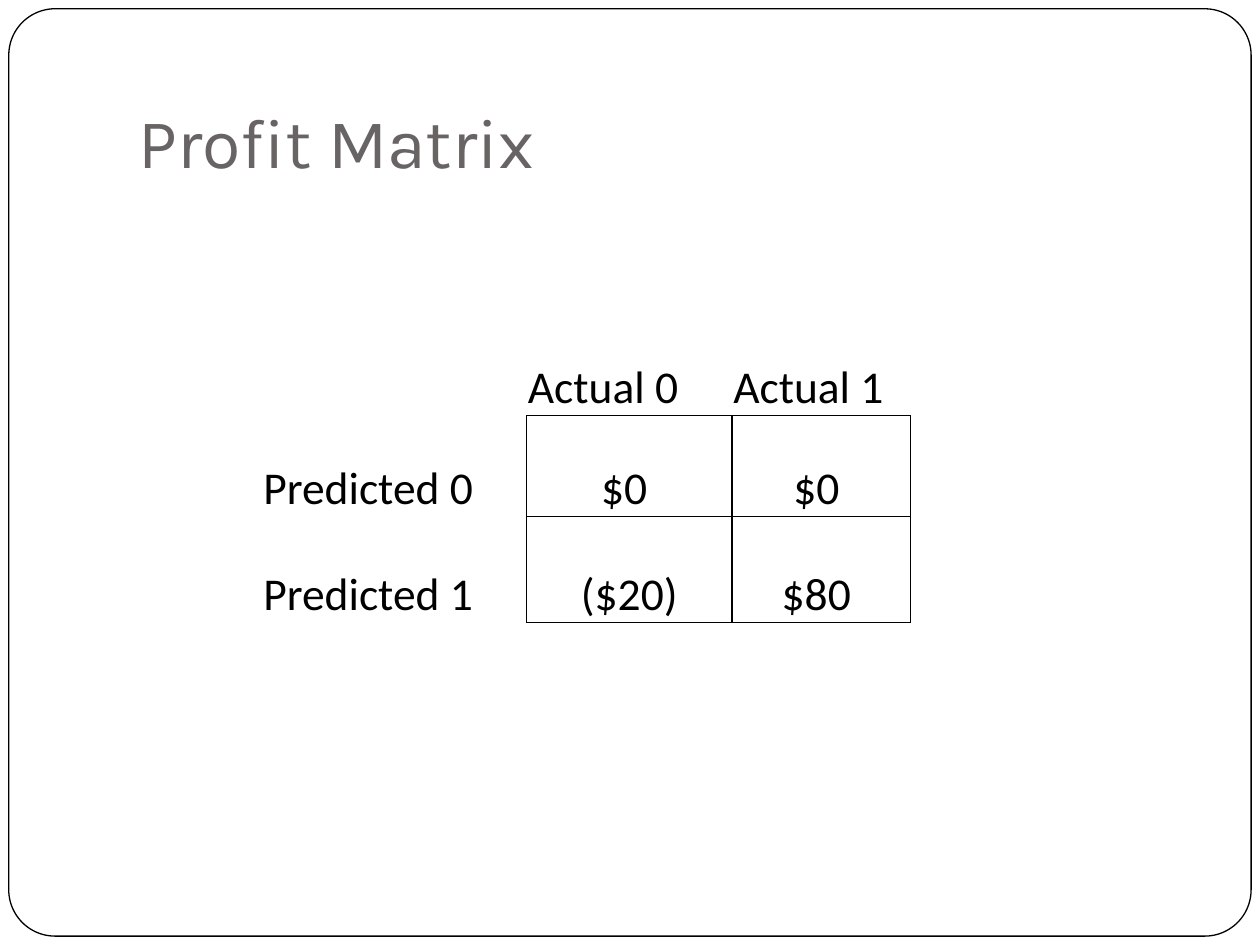
from dataclasses import dataclass

from lxml.etree import SubElement
from pptx import Presentation
from pptx.dml.color import RGBColor
from pptx.enum.shapes import MSO_SHAPE as Shape
from pptx.enum.text import MSO_ANCHOR as Anchor, PP_ALIGN as Align
from pptx.oxml.ns import qn
from pptx.util import Inches, Pt

NO_STYLE = "{2D5ABB26-0587-4C30-8999-92F81FD0307C}"


@dataclass(frozen=True)
class Theme:
    paper: str = "FFFFFF"
    ink: str = "000000"
    title_color: str = "696464"
    title_font: str = "Karla"
    body_font: str = "Calibri"
    title_size: int = 40
    body_size: int = 26
    rule: float = 0.75


class SlideBuilder:
    """Places elements by shares of the slide's width and height."""

    def __init__(self, deck, theme):
        self.theme = theme
        self.width, self.height = deck.slide_width, deck.slide_height
        self.slide = deck.slides.add_slide(deck.slide_layouts[6])

    def area(self, left, top, width, height):
        return (round(left * self.width), round(top * self.height),
                round(width * self.width), round(height * self.height))

    def style_text(self, para, font, size, color):
        for span in para.runs:
            span.font.name = font
            span.font.size = Pt(size)
            span.font.color.rgb = RGBColor.from_string(color)

    def frame(self, margin, radius):
        """Rounded outline with an equal margin, in inches, on every side."""
        gap = Inches(margin)
        shape = self.slide.shapes.add_shape(
            Shape.ROUNDED_RECTANGLE, gap, gap,
            self.width - 2 * gap, self.height - 2 * gap)
        shape.adjustments[0] = radius
        shape.shadow.inherit = False
        shape.fill.solid()
        shape.fill.fore_color.rgb = RGBColor.from_string(self.theme.paper)
        shape.line.color.rgb = RGBColor.from_string(self.theme.ink)
        shape.line.width = Pt(self.theme.rule)

    def title(self, text, *shares):
        box = self.slide.shapes.add_textbox(*self.area(*shares))
        text_frame = box.text_frame
        text_frame.word_wrap = True
        text_frame.vertical_anchor = Anchor.BOTTOM
        text_frame.margin_bottom = Inches(0.1)
        text_frame.text = text
        self.style_text(text_frame.paragraphs[0], self.theme.title_font,
                        self.theme.title_size, self.theme.title_color)

    def border(self, cell, sides):
        """Rule the given sides; must run before the cell's fill is set."""
        properties = cell._tc.get_or_add_tcPr()
        for side in "LRTB":
            width = Pt(self.theme.rule) if side in sides else 0
            line = SubElement(properties, qn(f"a:ln{side}"), w=str(width))
            if side in sides:
                fill = SubElement(line, qn("a:solidFill"))
                SubElement(fill, qn("a:srgbClr"), val=self.theme.ink)
            else:
                SubElement(line, qn("a:noFill"))

    def matrix(self, rows, left, top, columns, heights):
        """Table with headings outside the ruled grid of values."""
        graphic = self.slide.shapes.add_table(
            len(rows), len(columns),
            *self.area(left, top, sum(columns), sum(heights)))
        table = graphic.table
        table.first_row = table.horz_banding = False
        table._tbl.tblPr.find(qn("a:tableStyleId")).text = NO_STYLE
        for column, share in zip(table.columns, columns):
            column.width = round(share * self.width)
        for row, share in zip(table.rows, heights):
            row.height = round(share * self.height)
        for y, texts in enumerate(rows):
            for x, text in enumerate(texts):
                is_value = x > 0 and y > 0
                sides = "LRTB" if is_value else "B" if x else "R" if y else ""
                self.cell(table.cell(y, x), text, sides,
                          Align.CENTER if is_value else Align.LEFT)

    def cell(self, cell, text, sides, align):
        self.border(cell, sides)
        cell.fill.background()
        cell.vertical_anchor = Anchor.BOTTOM
        cell.margin_left = cell.margin_right = cell.margin_top = Inches(0.01)
        cell.margin_bottom = 0
        cell.text = text
        para = cell.text_frame.paragraphs[0]
        para.alignment = align
        self.style_text(para, self.theme.body_font, self.theme.body_size,
                        self.theme.ink)


def main():
    deck = Presentation()
    deck.slide_width, deck.slide_height = Inches(10), Inches(7.5)
    builder = SlideBuilder(deck, Theme())
    builder.frame(margin=0.07, radius=0.05)
    builder.title("Profit Matrix", 0.1, 0.04, 0.85, 1 / 6)
    builder.matrix(
        [["", "Actual 0", "Actual 1"],
         ["Predicted 0", "$0 ", "$0 "],
         ["Predicted 1", "($20)", "$80 "]],
        left=0.208, top=1 / 3,
        columns=[0.21, 0.163, 0.142],
        heights=[0.8 / 7.5, 0.8 / 7.5, 0.84 / 7.5])
    deck.save("out.pptx")


if __name__ == "__main__":
    main()
